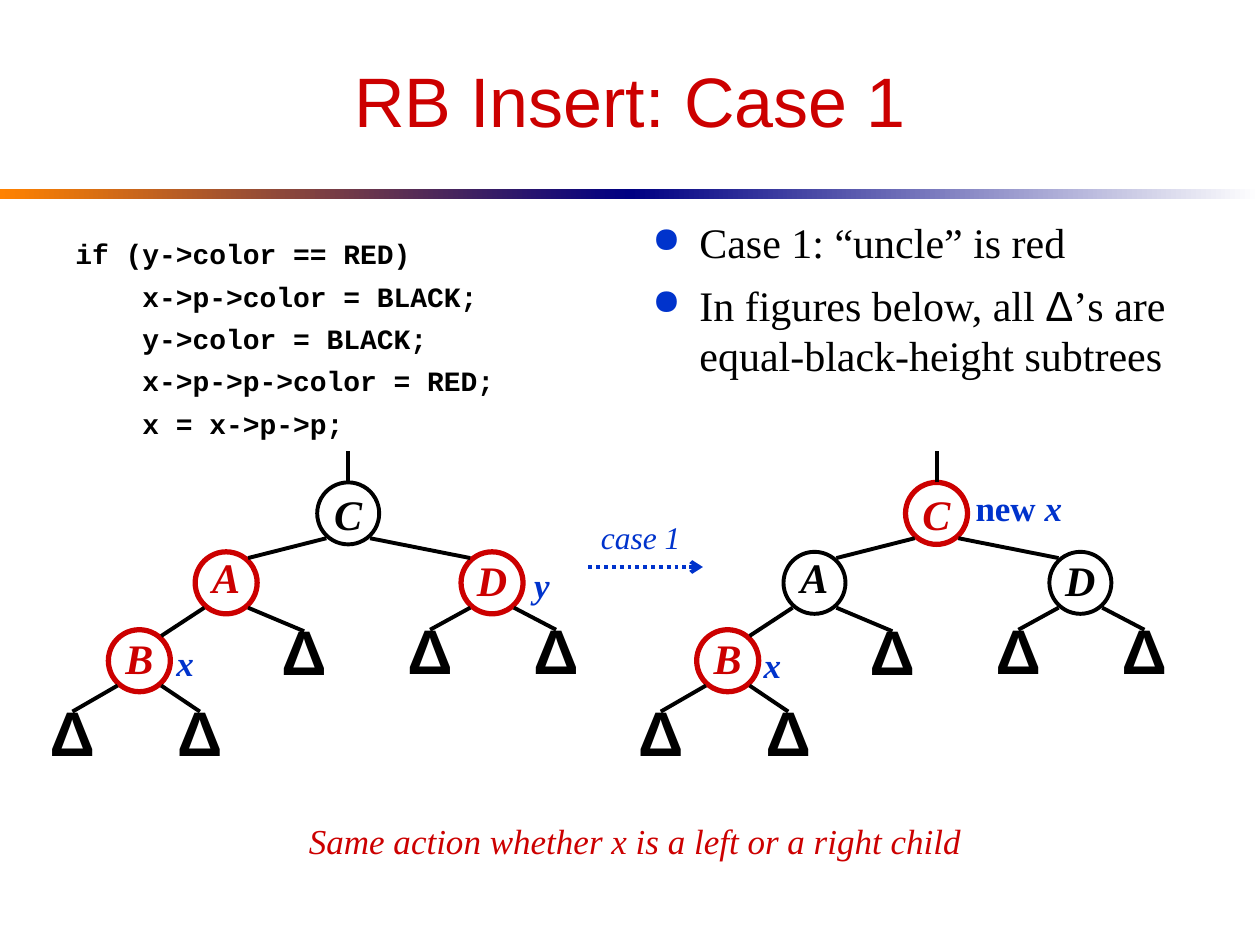
import pptx
import pptx.util
import pptx.dml.color
import pptx.enum.dml
import pptx.enum.shapes
import pptx.enum.text
import pptx.oxml.ns
from lxml import etree

Cm, Pt = pptx.util.Cm, pptx.util.Pt
RGB = pptx.dml.color.RGBColor.from_string
ALIGN = pptx.enum.text.PP_ALIGN
ANCHOR = pptx.enum.text.MSO_ANCHOR
SHAPE = pptx.enum.shapes.MSO_SHAPE
qn = pptx.oxml.ns.qn
COLORS = {"red": "CC0000", "black": "000000", "blue": "0033CC",
          "white": "FFFFFF", "navy": "000082", "orange": "FF8200"}
SERIF = "Times New Roman"

deck = pptx.Presentation()
deck.slide_width, deck.slide_height = Cm(25.4), Cm(19.05)
slide = deck.slides.add_slide(deck.slide_layouts[6])
shapes = slide.shapes


def write(holder, runs, color, size, font=SERIF, align=ALIGN.CENTER, spacing=None,
          wrap=False, anchor=ANCHOR.MIDDLE, fresh=True, **style):
    frame = holder.text_frame
    frame.word_wrap, frame.vertical_anchor = wrap, anchor
    paragraph = frame.paragraphs[0] if fresh else frame.add_paragraph()
    paragraph.alignment, paragraph.line_spacing = align, spacing
    for words, changes in runs:
        run = paragraph.add_run()
        run.text = words
        run.font.color.rgb = RGB(COLORS[color])
        look = {"size": Pt(size), "name": font, **style, **changes}
        for key, value in look.items():
            setattr(run.font, key, value)
    return paragraph


def draw_line(x1, y1, x2, y2, color="black"):
    stroke = shapes.add_connector(pptx.enum.shapes.MSO_CONNECTOR.STRAIGHT,
                                  Cm(x1), Cm(y1), Cm(x2), Cm(y2))
    stroke.line.color.rgb = RGB(COLORS[color])
    stroke.line.width = Pt(2.24)
    etree.SubElement(stroke._element.spPr, qn("a:effectLst"))
    return stroke


for left, start, end in [(0, "orange", "navy"), (12.7, "navy", "white")]:
    band = shapes.add_shape(SHAPE.RECTANGLE, Cm(left), Cm(3.81), Cm(12.7), Cm(0.2))
    band.shadow.inherit = False
    band.line.fill.background()
    band.fill.gradient()
    band.fill.gradient_angle = 0
    for stop, name in zip(band.fill.gradient_stops, (start, end)):
        stop.color.rgb = RGB(COLORS[name])

title = shapes.add_textbox(Cm(1.27), Cm(0.64), Cm(22.86), Cm(2.74))
write(title, [("RB Insert: Case 1", {})], "red", 40, "Arial", wrap=True)

code = shapes.add_textbox(Cm(1.27), Cm(4.65), Cm(11.23), Cm(4.65))
code_lines = ["if (y->color == RED)", "x->p->color = BLACK;", "y->color = BLACK;",
              "x->p->p->color = RED;", "x = x->p->p;"]
for index, words in enumerate(code_lines):
    statement = write(code, [(words, {})], "black", 16, "Courier New", ALIGN.LEFT,
                      wrap=True, anchor=ANCHOR.TOP, fresh=index == 0, bold=True)
    statement.space_before = Pt(5)
    if index:
        statement._p.get_or_add_pPr().set("marL", str(Cm(1.35)))

notes = shapes.add_textbox(Cm(12.9), Cm(4.24), Cm(11.23), Cm(4.88))
points = [[("Case 1: “uncle” is red", {})],
          [("In figures below, all ", {}), ("Δ", {"name": "Arial"}),
           ("’s are equal-black-height subtrees", {})]]
for index, runs in enumerate(points):
    point = write(notes, runs, "black", 24, align=ALIGN.LEFT, wrap=True,
                  anchor=ANCHOR.TOP, fresh=index == 0)
    point.space_before = Pt(7)
    layout = point._p.get_or_add_pPr()
    layout.set("marL", str(Cm(0.95)))
    layout.set("indent", str(Cm(-0.95)))
    bullet_color = etree.SubElement(layout, qn("a:buClr"))
    etree.SubElement(bullet_color, qn("a:srgbClr"), val=COLORS["blue"])
    etree.SubElement(layout, qn("a:buSzPct"), val="85000")
    etree.SubElement(layout, qn("a:buChar"), char="●")

NODE = 1.25
nodes = {"C": (7.02, 10.35, 1.0), "A": (4.56, 11.75, 0.7),
         "D": (9.92, 11.75, 0.9), "B": (2.81, 13.32, 0.9)}
subtrees = {"B left": (1.46, 14.97), "B right": (4.03, 14.97), "A right": (6.13, 13.35),
            "D left": (8.67, 13.32), "D right": (11.21, 13.32)}
children = {"C": ("A", "D"), "A": ("B", "A right"),
            "B": ("B left", "B right"), "D": ("D left", "D right")}

for shift, red_nodes in [(0, "ADB"), (11.86, "CB")]:
    for name, (x, y, spacing) in nodes.items():
        color = "red" if name in red_nodes else "black"
        node = shapes.add_shape(SHAPE.OVAL, Cm(x + shift - NODE / 2), Cm(y - NODE / 2),
                                Cm(NODE), Cm(NODE))
        node.shadow.inherit = False
        node.fill.solid()
        node.fill.fore_color.rgb = RGB(COLORS["white"])
        node.line.color.rgb = RGB(COLORS[color])
        node.line.width = Pt(3 if color == "red" else 2.24)
        write(node, [(name, {})], color, 24, spacing=spacing, bold=True, italic=True)
    for x, y in subtrees.values():
        subtree = shapes.add_shape(SHAPE.OVAL, Cm(x + shift - NODE / 2), Cm(y - NODE / 2),
                                   Cm(NODE), Cm(NODE))
        subtree.shadow.inherit = False
        subtree.fill.background()
        subtree.line.fill.background()
        write(subtree, [("Δ", {})], "black", 36, "Arial", spacing=0.6, bold=True)
    for parent, pair in children.items():
        x, y = nodes[parent][:2]
        for side, child in zip((-1, 1), pair):
            if child in nodes:
                end_x, end_y = nodes[child][0] - side * 0.44, nodes[child][1] - 0.5
            else:
                end_x, end_y = subtrees[child][0], subtrees[child][1] - NODE / 2
            draw_line(x + shift + side * 0.44, y + 0.5, end_x + shift, end_y)
    root_x, root_y = nodes["C"][0] + shift, nodes["C"][1] - NODE / 2
    draw_line(root_x, root_y, root_x, root_y - 0.64)

step = draw_line(11.86, 11.43, 14.17, 11.43, "blue")
step.line.dash_style = pptx.enum.dml.MSO_LINE.ROUND_DOT
etree.SubElement(step.line._get_or_add_ln(), qn("a:tailEnd"), type="arrow")

labels = [
    (3.3, 12.8, 0.86, 1.12, [("x", {})], "blue", 20, True),
    (15.14, 12.83, 0.86, 1.12, [("x", {})], "blue", 20, True),
    (10.52, 11.23, 0.81, 1.12, [("y", {})], "blue", 20, True),
    (19.41, 9.68, 2.26, 1.12, [("new", {"italic": False}), (" x", {})], "blue", 20, True),
    (11.86, 10.31, 2.11, 1.02, [("case 1", {})], "blue", 18, False),
    (5.97, 16.38, 13.67, 1.12,
     [("Same action whether x is a left or a right child", {})], "red", 20, False),
]
for left, top, width, height, runs, color, size, bold in labels:
    label = shapes.add_textbox(Cm(left), Cm(top), Cm(width), Cm(height))
    write(label, runs, color, size, bold=bold, italic=True)

deck.save("out.pptx")
